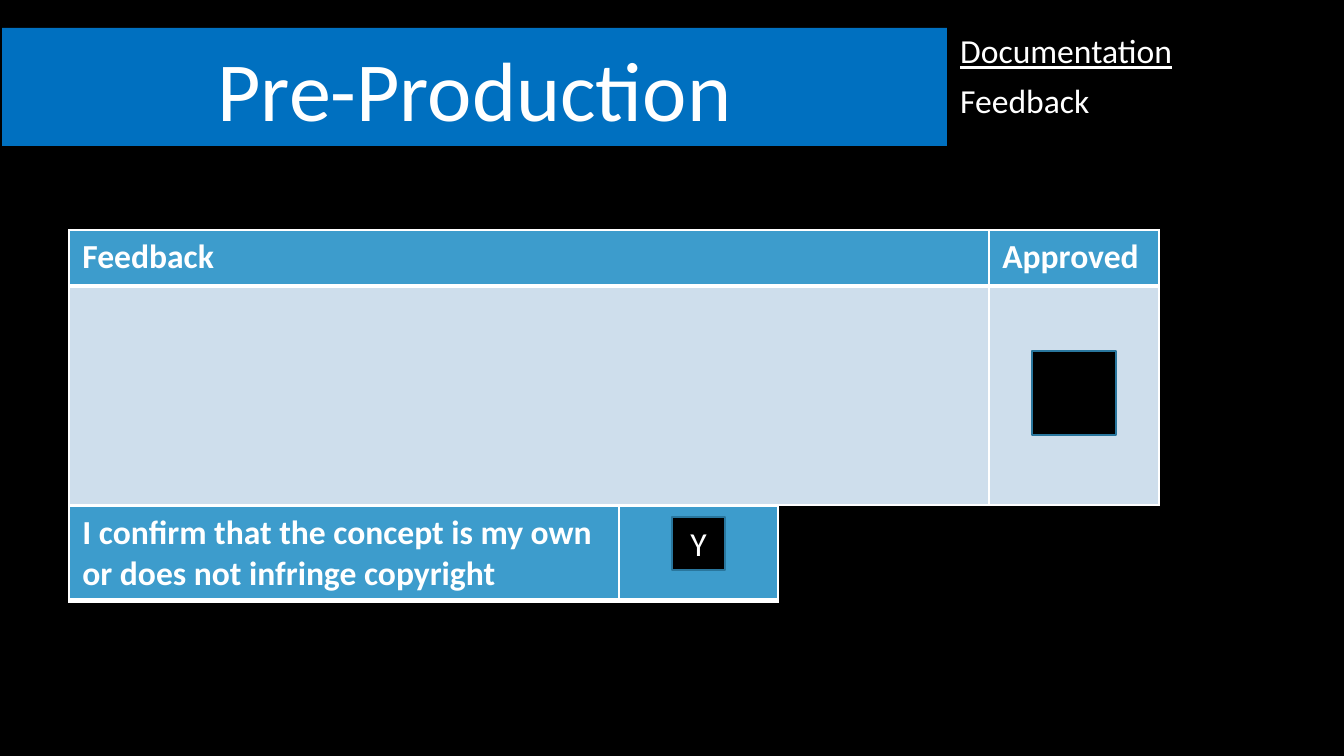
from lxml import etree
from pptx import Presentation
from pptx import util as u
from pptx.dml.color import RGBColor
from pptx.enum import shapes, text
from pptx.oxml import ns

PX = 914400 / 134.4
FONT = "Calibri"
COLORS = {
    "back": "000000",
    "title": "0070C0",
    "head": "3D9CCC",
    "body": "CEDEEC",
    "edge": "29769D",
    "white": "FFFFFF",
}


def px(n):
    return u.Emu(round(n * PX))


def rgb(name):
    return RGBColor.from_string(COLORS[name])


def paint(fill, name):
    fill.solid()
    fill.fore_color.rgb = rgb(name)


def add_run(para, words, size=18, bold=False, line=False):
    run = para.add_run()
    run.text = words
    font = run.font
    font.name, font.size = FONT, u.Pt(size)
    font.bold, font.underline = bold, line
    font.color.rgb = rgb("white")


def add_box(slide, at, fill, edge=None):
    box = slide.shapes.add_shape(shapes.MSO_SHAPE.RECTANGLE, *map(px, at))
    box.shadow.inherit = False
    paint(box.fill, fill)
    if edge:
        box.line.color.rgb = rgb(edge)
        box.line.width = u.Pt(1)
    else:
        box.line.fill.background()
    return box


def label(box, words, size, anchor):
    """Centre one line of text in a box."""
    frame = box.text_frame
    frame.word_wrap = True
    frame.vertical_anchor = anchor
    para = frame.paragraphs[0]
    para.alignment = text.PP_ALIGN.CENTER
    add_run(para, words, size)
    return para


def add_list(slide, at, items):
    """Stack lines of text, the first one underlined."""
    frame = slide.shapes.add_textbox(*map(px, at)).text_frame
    frame.word_wrap = True
    for i, words in enumerate(items):
        para = frame.add_paragraph() if i else frame.paragraphs[0]
        para.line_spacing = 0.9
        para.space_before = u.Pt(7.5)
        add_run(para, words, line=i == 0)


def set_edges(cell, base):
    """Draw white cell borders, with the lower one base points wide."""
    props = cell._tc.get_or_add_tcPr()
    for i, side in enumerate("LRTB"):
        width = u.Pt(base if side == "B" else 1)
        line = etree.Element(ns.qn(f"a:ln{side}"), w=str(width))
        fill = etree.SubElement(line, ns.qn("a:solidFill"))
        etree.SubElement(fill, ns.qn("a:srgbClr"), val=COLORS["white"])
        props.insert(i, line)


def add_grid(slide, left, top, cols, rows, cells):
    """Add a table with a header row and light rows below it."""
    grid = slide.shapes.add_table(
        len(rows), len(cols), px(left), px(top), px(sum(cols)), px(sum(rows))
    ).table
    for col, width in zip(grid.columns, cols):
        col.width = px(width)
    for r, height in enumerate(rows):
        grid.rows[r].height = px(height)
        for c, words in enumerate(cells[r]):
            cell = grid.cell(r, c)
            paint(cell.fill, "body" if r else "head")
            set_edges(cell, 1 if r else 3)
            if words:
                add_run(cell.text_frame.paragraphs[0], words, bold=True)


def main():
    deck = Presentation()
    deck.slide_width, deck.slide_height = px(1344), px(756)
    slide = deck.slides.add_slide(deck.slide_layouts[6])
    paint(slide.background.fill, "back")

    title = add_box(slide, (2, 28, 945, 118), "title")
    para = label(title, "Pre-Production", 45, text.MSO_ANCHOR.BOTTOM)
    para.line_spacing = 0.9
    add_list(slide, (947, 28, 397, 159), ["Documentation", "Feedback"])

    add_grid(slide, 69, 230, (920, 170), (56, 219),
             [("Feedback", "Approved"), ("", "")])
    add_box(slide, (1032, 351, 84, 84), "back", "edge")

    claim = "I confirm that the concept is my own or does not infringe copyright"
    add_grid(slide, 69, 506, (550, 159), (83,), [(claim, "")])
    tick = add_box(slide, (672, 517, 53, 53), "back", "edge")
    label(tick, "Y", 18, text.MSO_ANCHOR.MIDDLE)

    deck.save("out.pptx")


if __name__ == "__main__":
    main()
